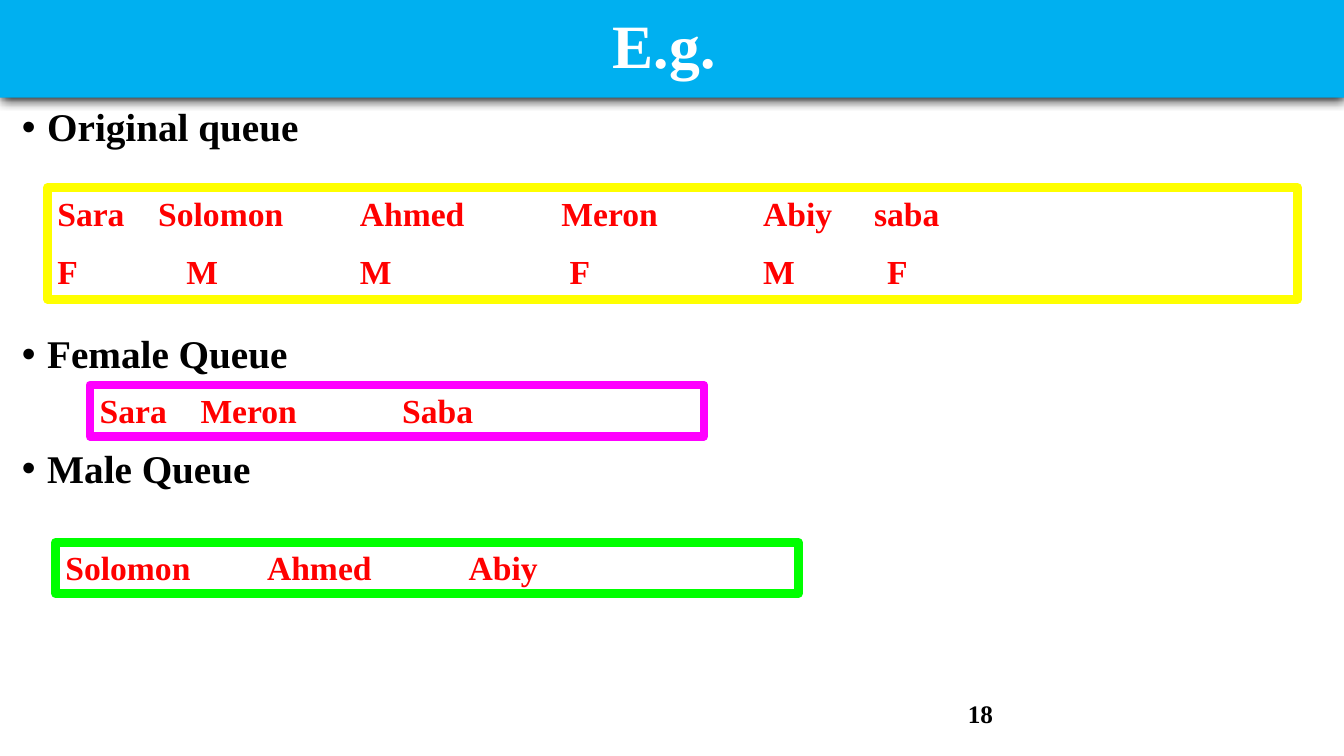
from lxml.etree import SubElement
from pptx import Presentation
from pptx.dml.color import RGBColor
from pptx.enum.shapes import MSO_SHAPE
from pptx.enum.text import MSO_ANCHOR, PP_ALIGN
from pptx.oxml.ns import qn
from pptx.util import Inches, Pt

WIDTH, HEIGHT = Inches(13.33), Inches(7.5)
FONT = "Times New Roman"
SKY = RGBColor(0x00, 0xB0, 0xF0)
WHITE = RGBColor(0xFF, 0xFF, 0xFF)
BLACK = RGBColor(0x00, 0x00, 0x00)
RED = RGBColor(0xFF, 0x00, 0x00)
YELLOW = RGBColor(0xFF, 0xFF, 0x00)
PINK = RGBColor(0xFF, 0x00, 0xFF)
GREEN = RGBColor(0x00, 0xFF, 0x00)


def place(left, top, width, height):
    """Turn percentages of the slide's size into lengths."""
    return [int(side * share / 100) for side, share in
            zip((WIDTH, HEIGHT) * 2, (left, top, width, height))]


def add_bullet(para):
    props = para._p.get_or_add_pPr()
    props.set("marL", str(Inches(0.25)))
    props.set("indent", str(-Inches(0.25)))
    SubElement(props, qn("a:buFont"), typeface="Arial")
    SubElement(props, qn("a:buChar"), char="•")


def add_tabs(para, stops):
    tabs = SubElement(para._p.get_or_add_pPr(), qn("a:tabLst"))
    for stop in stops:
        SubElement(tabs, qn("a:tab"), pos=str(Inches(stop)), algn="l")


def write(frame, text, size=24, color=BLACK, align=PP_ALIGN.LEFT,
          line=1.0, before=0, bullet=False, tabs=()):
    """Fill the first paragraph, or add one below the text already there."""
    para = frame.add_paragraph() if frame.text else frame.paragraphs[0]
    para.alignment = align
    para.line_spacing = line
    para.space_before = Pt(before)
    if bullet:
        add_bullet(para)
    if tabs:
        add_tabs(para, tabs)
    run = para.add_run()
    run.text = text
    font = run.font
    font.name, font.size, font.bold = FONT, Pt(size), True
    font.color.rgb = color


def add_text(slide, area, anchor=MSO_ANCHOR.TOP):
    frame = slide.shapes.add_textbox(*place(*area)).text_frame
    frame.word_wrap = True
    frame.vertical_anchor = anchor
    return frame


def add_rect(slide, area):
    rect = slide.shapes.add_shape(MSO_SHAPE.RECTANGLE, *place(*area))
    rect.shadow.inherit = False
    rect.text_frame.word_wrap = True
    return rect


def add_shadow(shape):
    effects = shape._element.spPr.find(qn("a:effectLst"))
    shadow = SubElement(effects, qn("a:outerShdw"), blurRad=str(Pt(8.5)),
                        dist=str(Pt(1)), dir="5400000", rotWithShape="0")
    SubElement(shadow, qn("a:srgbClr"), val=str(BLACK))


def add_title(slide, text):
    bar = add_rect(slide, (0, 0, 100, 12.93))
    bar.fill.solid()
    bar.fill.fore_color.rgb = SKY
    bar.line.fill.background()
    add_shadow(bar)
    bar.text_frame.vertical_anchor = MSO_ANCHOR.MIDDLE
    write(bar.text_frame, text, size=44, color=WHITE,
          align=PP_ALIGN.CENTER, line=0.9)


def add_queue(slide, area, color, rows):
    """Draw a framed queue; each row holds its words and their tab stops."""
    box = add_rect(slide, area)
    box.fill.background()
    box.line.color.rgb = color
    box.line.width = Pt(6)
    frame = box.text_frame
    frame.vertical_anchor = MSO_ANCHOR.TOP
    for index, (words, stops) in enumerate(rows):
        write(frame, "\t".join(words), color=RED,
              before=13 if index else 0, tabs=stops)


def main():
    deck = Presentation()
    deck.slide_width, deck.slide_height = WIDTH, HEIGHT
    slide = deck.slides.add_slide(deck.slide_layouts[6])

    number = add_text(slide, (71.27, 91.07, 23.78, 6.67), MSO_ANCHOR.MIDDLE)
    write(number, "18", size=18)
    add_title(slide, "E.g. ")

    heads = add_text(slide, (0.9, 13.6, 98.05, 83.73))
    for text, before in (("Original queue", 0), ("Female Queue", 132),
                         ("Male Queue", 51.5)):
        write(heads, text, size=28, line=0.9, before=before, bullet=True)

    add_queue(slide, (3.53, 24.8, 93.02, 14.8), YELLOW, [
        (("Sara", "Solomon", "Ahmed", "Meron", "Abiy", "saba"),
         (1, 3, 5, 7, 8.1)),
        (("F", "M", "M", "F", "M", "F"), (1.28, 3, 5.08, 7, 8.23)),
    ])
    add_queue(slide, (6.68, 50.93, 45.69, 6.8), PINK,
              [(("Sara", "Meron", "Saba"), (1, 3))])
    add_queue(slide, (4.13, 71.73, 55.29, 6.8), GREEN,
              [(("Solomon", "Ahmed", "Abiy"), (2, 4))])
    deck.save("out.pptx")


if __name__ == "__main__":
    main()
